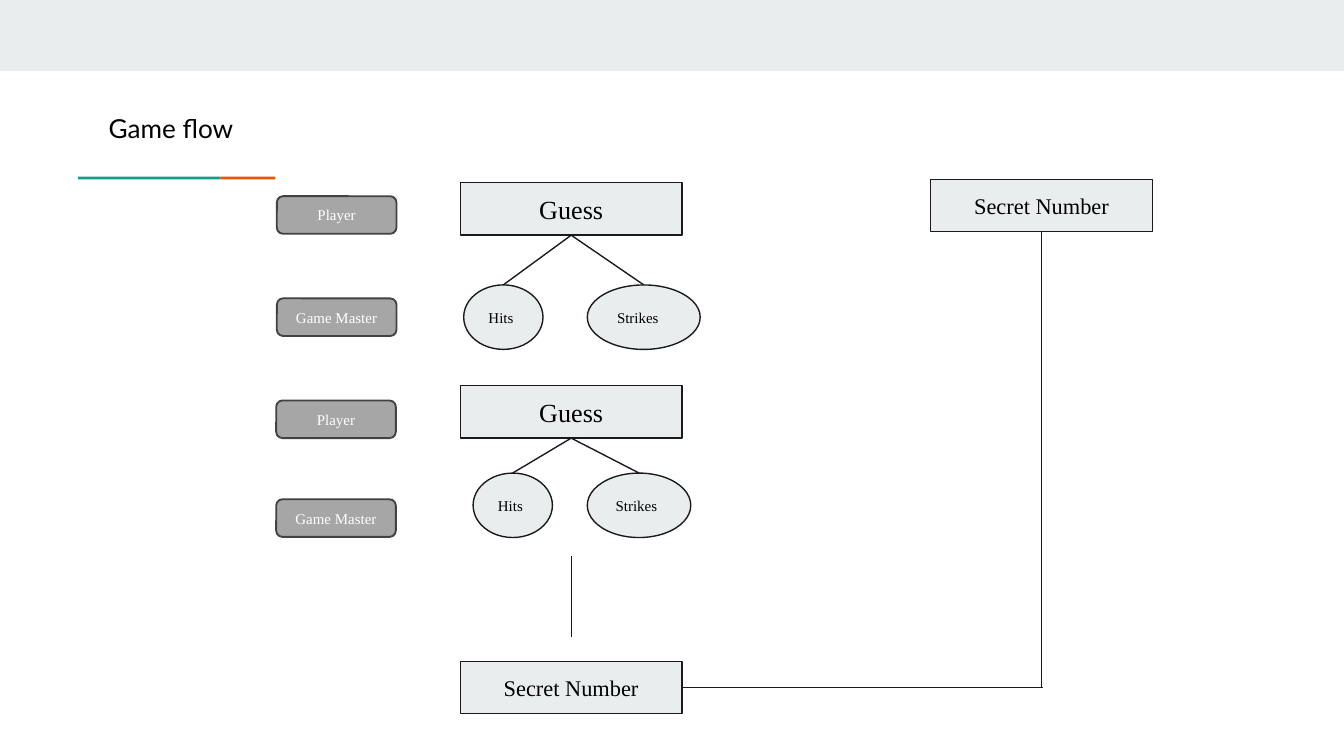
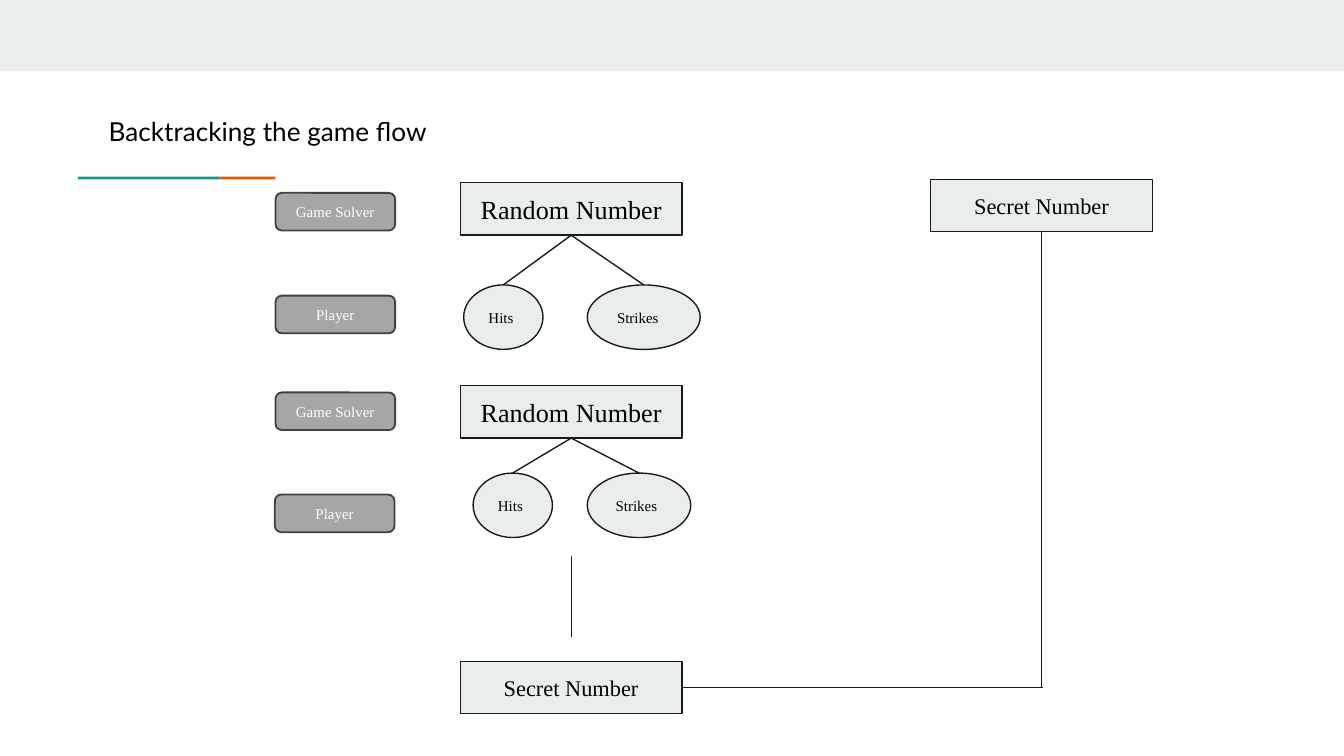
from lxml import etree
from pptx import Presentation, util as u
from pptx.dml.color import RGBColor
from pptx.enum import shapes, text
from pptx.oxml.ns import qn

COLUMNS, ROWS = 100, 56.25
COLORS = {
    "panel": "E9EDEE",
    "ink": "1A1A1A",
    "black": "000000",
    "white": "FFFFFF",
    "role": "A6A6A6",
    "role_edge": "424242",
    "teal": "1A9988",
    "orange": "EB5600",
}
SERIF, SANS = "Times New Roman", "Lato"
KIND = shapes.MSO_SHAPE
LEFT, CENTER = text.PP_ALIGN.LEFT, text.PP_ALIGN.CENTER

BOX_LEFT, BOX_WIDTH, BOX_HEIGHT = 34.25, 16.5, 3.9
BOX_MIDDLE = BOX_LEFT + BOX_WIDTH / 2
OVAL_HEIGHT = 4.8
ROUNDS = [
    {"box": 13.6, "ovals": 21.2, "Hits": (34.5, 5.9), "Strikes": (43.7, 8.4)},
    {"box": 28.7, "ovals": 35.2, "Hits": (35.2, 5.9), "Strikes": (43.7, 7.7)},
]
FLOWS = [
    {
        "title": "Game flow", "title_at": (7.1, 7.4, 20.6, 4.4), "move": "Guess",
        "roles": ["Player", "Game Master"] * 2,
        "role_at": [(20.6, 14.6), (20.6, 22.2), (20.55, 29.8), (20.55, 37.15)],
    },
    {
        "title": "Backtracking the game flow", "title_at": (7.1, 7.6, 27.2, 4.4),
        "move": "Random Number", "roles": ["Game Solver", "Player"] * 2,
        "role_at": [(20.5, 14.35), (20.5, 22), (20.5, 29.2), (20.45, 36.8)],
    },
]


def color(name):
    return RGBColor.from_string(COLORS[name])


def write(shape, words, size, font=SERIF, ink="black", align=CENTER,
          anchor=text.MSO_ANCHOR.MIDDLE, inset=0.1):
    frame = shape.text_frame
    frame.word_wrap = True
    frame.vertical_anchor = anchor
    frame.margin_left = frame.margin_right = u.Inches(0.1)
    frame.margin_top = frame.margin_bottom = u.Inches(inset)
    para = frame.paragraphs[0]
    para.alignment = align
    span = para.add_run()
    span.text = words
    span.font.size = u.Pt(size)
    span.font.name = font
    span.font.color.rgb = color(ink)


class Sketch:
    def __init__(self, deck):
        self.deck = deck
        self.column = deck.slide_width / COLUMNS
        self.row = deck.slide_height / ROWS
        self.page = None

    def place(self, left, top, *extent):
        lengths = (left, top, *extent)
        units = (self.column, self.row) * 2
        return [round(length * unit) for length, unit in zip(lengths, units)]

    def new_page(self):
        self.page = self.deck.slides.add_slide(self.deck.slide_layouts[6])
        self.shape(KIND.RECTANGLE, (0, 0, COLUMNS, 5.3), "panel")
        self.shape(KIND.RECTANGLE, (16.4, 13.15, 4.1, 0.2), "orange")
        self.shape(KIND.RECTANGLE, (5.8, 13.15, 10.6, 0.2), "teal")

    def shape(self, kind, area, fill, edge=None, weight=0.75):
        shape = self.page.shapes.add_shape(kind, *self.place(*area))
        shape.shadow.inherit = False
        shape.fill.solid()
        shape.fill.fore_color.rgb = color(fill)
        if edge:
            shape.line.color.rgb = color(edge)
            shape.line.width = u.Pt(weight)
        else:
            shape.line.fill.background()
        return shape

    def title(self, words, area):
        box = self.page.shapes.add_textbox(*self.place(*area))
        write(box, words, 14, font=SANS, align=LEFT, anchor=text.MSO_ANCHOR.TOP)
        box.text_frame.auto_size = text.MSO_AUTO_SIZE.SHAPE_TO_FIT_TEXT

    def box(self, words, left, top, size):
        area = (left, top, BOX_WIDTH, BOX_HEIGHT)
        box = self.shape(KIND.RECTANGLE, area, "panel", "ink")
        write(box, words, size)
        return box

    def oval(self, words, left, top, width):
        area = (left, top, width, OVAL_HEIGHT)
        oval = self.shape(KIND.OVAL, area, "panel", "ink")
        write(oval, words, 8, align=LEFT)

    def role(self, words, left, top):
        area = (left, top, 8.9, 2.8)
        role = self.shape(KIND.ROUNDED_RECTANGLE, area, "role", "role_edge", 1)
        write(role, words, 8, ink="white", inset=0.05)

    def line(self, start, end, source=None, side=2):
        line = self.page.shapes.add_connector(
            shapes.MSO_CONNECTOR.STRAIGHT, *self.place(*start), *self.place(*end))
        line.line.color.rgb = color("ink")
        line.line.width = u.Pt(0.75)
        etree.SubElement(line._element.spPr, qn("a:effectLst"))
        if source is not None:
            line.begin_connect(source, side)

    def round(self, move, layout):
        box = self.box(move, BOX_LEFT, layout["box"], 14)
        for answer in ("Hits", "Strikes"):
            left, width = layout[answer]
            self.oval(answer, left, layout["ovals"], width)
            self.line((BOX_MIDDLE, layout["box"] + BOX_HEIGHT),
                      (left + width / 2, layout["ovals"]), box)

    def secret(self):
        found = self.box("Secret Number", BOX_LEFT, 49.2, 12)
        hidden = self.box("Secret Number", 69.25, 13.35, 12)
        middle = 69.25 + BOX_WIDTH / 2
        level = 49.2 + BOX_HEIGHT / 2
        self.line((BOX_LEFT + BOX_WIDTH, level), (middle + 0.1, level), found, 3)
        self.line((middle, 13.35 + BOX_HEIGHT), (middle, level), hidden)
        self.line((BOX_MIDDLE, 41.4), (BOX_MIDDLE, 47.4))


def main():
    deck = Presentation()
    deck.slide_width, deck.slide_height = u.Inches(10), u.Inches(5.625)
    sketch = Sketch(deck)
    for flow in FLOWS:
        sketch.new_page()
        for layout in ROUNDS:
            sketch.round(flow["move"], layout)
        sketch.secret()
        sketch.title(flow["title"], flow["title_at"])
        for words, corner in zip(flow["roles"], flow["role_at"]):
            sketch.role(words, *corner)
    deck.save("out.pptx")


if __name__ == "__main__":
    main()
